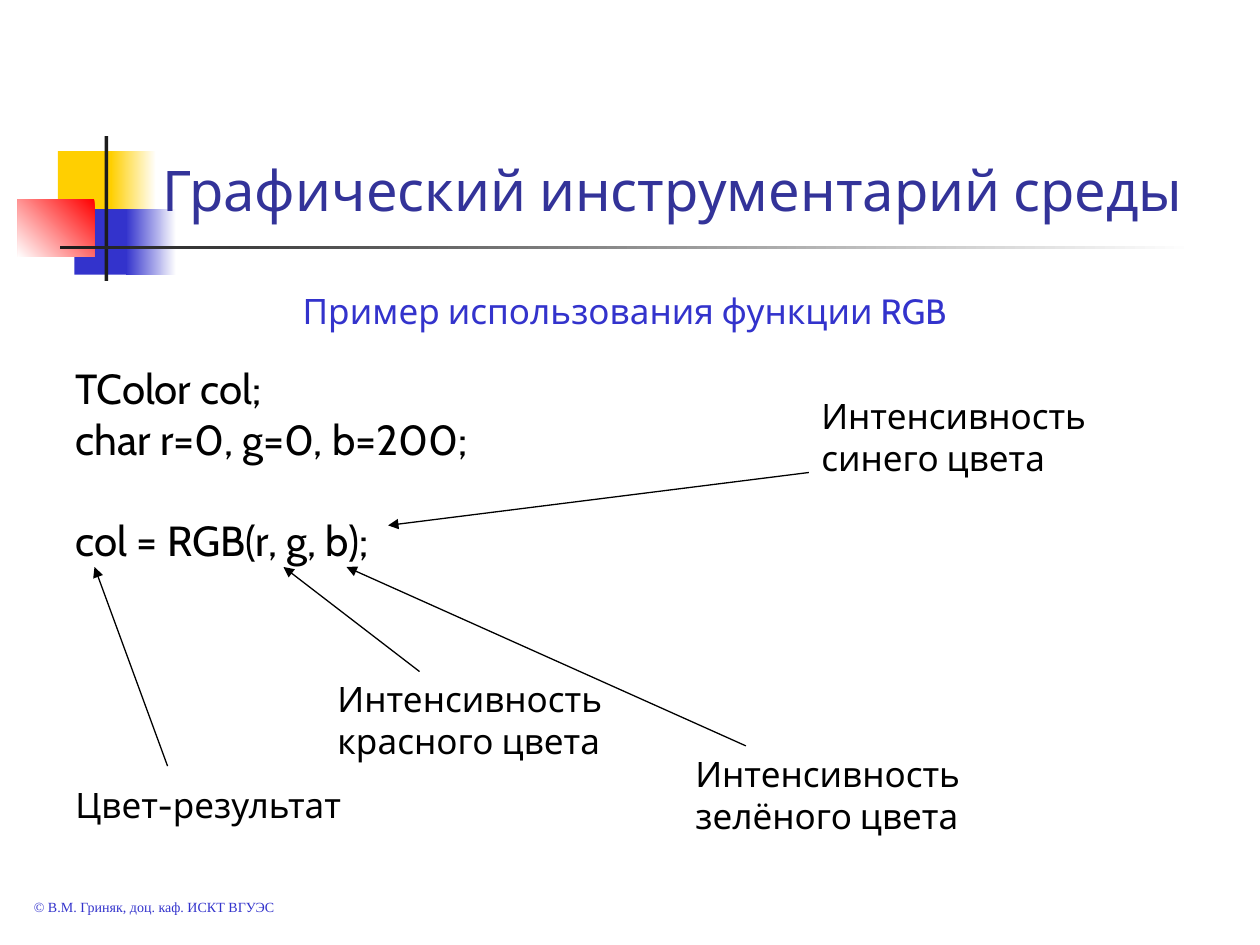
from lxml.etree import SubElement
from pptx import Presentation
from pptx.dml.color import RGBColor
from pptx.enum.shapes import MSO_CONNECTOR as Connector, MSO_SHAPE as Shape
from pptx.enum.text import MSO_ANCHOR as Anchor, PP_ALIGN as Align
from pptx.oxml.ns import qn
from pptx.util import Emu, Pt

PX = 9144
BLACK, WHITE, DARK, BLUE = "000000", "FFFFFF", "1C1C1C", "3333CC"
YELLOW, RED, NAVY = "FFCF01", "FF0000", "333399"


def px(*lengths):
    """Turn px lengths into EMU."""
    return [Emu(length * PX) for length in lengths]


def paint(target, color):
    """Set a colour format from a hex string."""
    target.rgb = RGBColor.from_string(color)


def add_block(page, box, colors, angle=180):
    """Draw a borderless rectangle, solid for one colour and graded for two."""
    block = page.shapes.add_shape(Shape.RECTANGLE, *px(*box))
    block.shadow.inherit = False
    block.line.fill.background()
    if len(colors) == 1:
        block.fill.solid()
        paint(block.fill.fore_color, colors[0])
        return
    block.fill.gradient()
    block.fill.gradient_angle = angle
    for stop, color in zip(block.fill.gradient_stops, colors):
        paint(stop.color, color)


def add_text(page, box, lines, size=20, color=BLACK, font="Cabin",
             align=Align.LEFT, anchor=Anchor.TOP, gaps=None):
    """Place one paragraph per line; gaps maps a line index to its space before."""
    frame = page.shapes.add_textbox(*px(*box)).text_frame
    margins = dict(margin_left=10, margin_right=10, margin_top=5, margin_bottom=5)
    for name, margin in margins.items():
        setattr(frame, name, Emu(margin * PX))
    frame.word_wrap = True
    frame.vertical_anchor = anchor
    for index, line in enumerate(lines):
        para = frame.paragraphs[0] if index == 0 else frame.add_paragraph()
        para.alignment = align
        para.space_before = Pt((gaps or {}).get(index, 0))
        span = para.add_run()
        span.text = line
        for name, value in dict(name=font, size=Pt(size)).items():
            setattr(span.font, name, value)
        paint(span.font.color, color)


def add_arrow(page, start, end):
    """Draw a thin black line with a triangle at its end."""
    arrow = page.shapes.add_connector(Connector.STRAIGHT, *px(*start, *end))
    arrow.line.width = Pt(0.75)
    paint(arrow.line.color, BLACK)
    SubElement(arrow.line._get_or_add_ln(), qn("a:tailEnd"), type="triangle")
    SubElement(arrow._element.spPr, qn("a:effectLst"))


def add_emblem(page, left, top):
    """Draw the coloured squares and crossed bars beside the title."""
    blocks = [
        ((32, 12, 48, 52), [YELLOW], 0),
        ((74, 12, 36, 52), [WHITE, YELLOW], 180),
        ((45, 58, 46, 52), [BLUE], 0),
        ((86, 58, 40, 52), [WHITE, BLUE], 180),
        ((0, 50, 61, 46), [RED, WHITE], 225),
        ((69, 0, 3, 115), [DARK], 0),
        ((34, 87, 900, 3), [WHITE, DARK], 180),
    ]
    for (x, y, width, height), colors, angle in blocks:
        add_block(page, (left + x, top + y, width, height), colors, angle)


def add_headings(page, left, top):
    """Place the title, the subtitle and the copyright line."""
    add_text(page, (left + 91, top, 852, 124), ["Графический инструментарий среды"],
             size=32, color=NAVY, align=Align.CENTER, anchor=Anchor.BOTTOM)
    add_text(page, (left + 16, top + 167, 925, 44),
             ["Пример использования функции RGB"], color=BLUE, align=Align.CENTER)
    add_text(page, (left, top + 650, 267, 24), ["© В.М. Гриняк, доц. каф. ИСКТ ВГУЭС"],
             size=8, color=BLUE, font="Times New Roman")


def add_example(page, left, top):
    """Place the code, its labels and the arrows that tie them together."""
    code = ["TColor col;", "char r=0, g=0, b=200;", "col = RGB(r, g, b);"]
    add_text(page, (left, top, 908, 210), code, size=24, align=Align.JUSTIFY,
             gaps={2: 29})
    notes = [
        ("Интенсивность красного цвета", (208, 250), (283, 250), (175, 167)),
        ("Интенсивность зелёного цвета", (492, 309), (542, 309), (225, 167)),
        ("Интенсивность синего цвета", (592, 25), (592, 92), (258, 134)),
        ("Цвет-результат", (0, 334), (83, 325), (25, 167)),
    ]
    for label, corner, start, end in notes:
        corner, start, end = [(left + x, top + y) for x, y in (corner, start, end)]
        add_text(page, (*corner, 242, 77), [label])
        add_arrow(page, start, end)


def main():
    """Build and save the slide."""
    deck = Presentation()
    deck.slide_width, deck.slide_height = px(1000, 750)
    page = deck.slides.add_slide(deck.slide_layouts[6])
    add_emblem(page, 14, 108)
    add_headings(page, 17, 58)
    add_example(page, 50, 283)
    deck.save("out.pptx")


if __name__ == "__main__":
    main()
